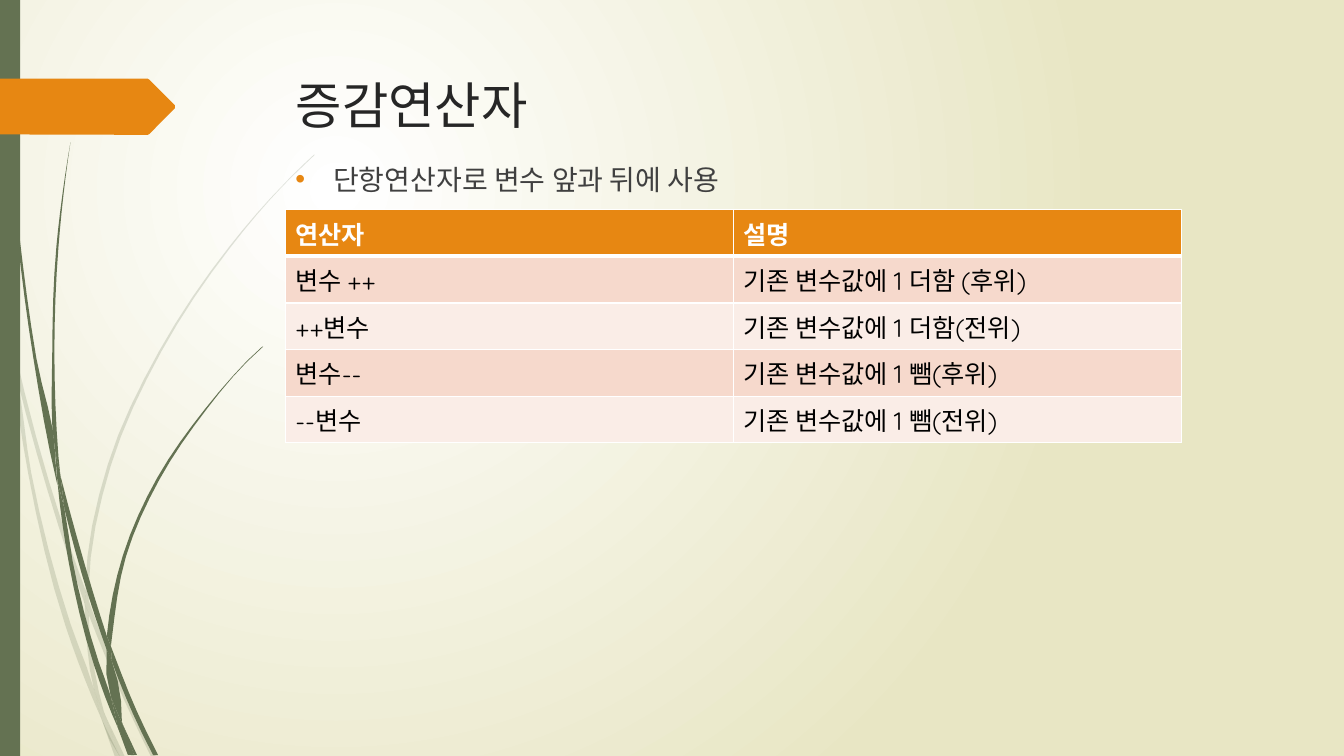
from lxml import etree
from pptx import Presentation
from pptx.dml.color import RGBColor
from pptx.enum import shapes, text
from pptx.oxml import ns
from pptx.util import Pt

HUES = {
    "white": "FFFFFF", "sand": "E8E6C4", "moss": "647252", "amber": "E78712",
    "title": "262626", "body": "404040", "black": "000000",
    "dark": "F6D9CC", "light": "FAEDE7",
}
SANS, ROUND = "Noto Sans CJK KR", "Quicksand"

PALE = [
    ([7.9+252j, 6.5+231.8j, 203j], [215.3j, 7.2+247.7j]),
    ([12.2+270.7j, 41.8+375.8j, 60.5+431.3j], [61.2+421.9j, 44.6+374.4j, 10.1+248.4j]),
    ([63.4+439.2j, 88.6+499.7j, 108+540.7j],
     [111.6+540.7j, 91.4+498.2j, 66.2+437j, 63.4+429.1j]),
    ([75.6+511.9j, 85.7+540.7j], [89.3+540.7j, 75.6+511.9j]),
    ([7.9+252j, 20.2+338.4j, 46.8+447.1j, 66.2+499j, 72.7+514.1j],
     [71.3+509j, 67+491.8j, 50.4+445.7j, 22.3+337.7j, 12.2+270.7j, 7.9+252j]),
    ([60.5+431.3j, 62.6+465.1j, 67+491.8j, 69.1+498.2j, 75.6+511.9j],
     [74.2+508.3j, 65.5+465.1j, 63.4+439.2j, 63.4+437.8j]),
    ([224.6+110.2j, 208.1+126j, 193+141.8j, 164.2+175.7j, 113.8+250.6j, 77+331.9j,
      61.2+420.5j, 61.2+421.9j],
     [63.4+429.1j, 63.4+420.5j, 79.2+332.6j, 115.2+251.3j, 164.9+176.4j, 193+142.6j,
      208.8+126j, 224.6+110.9j]),
    ([72.7+514.1j, 82.1+540.7j], [85.7+540.7j, 72.7+514.1j]),
    ([61.2+421.9j, 60.5+431.3j], [63.4+437.8j, 63.4+429.1j]),
    ([67+491.8j, 71.3+509j, 72.7+514.1j, 85.7+540.7j], [75.6+511.9j, 69.1+498.2j, 67+491.8j]),
]
DEEP = [
    ([2.2+0j, 2.9+34.6j, 5+79.2j, 12.2+167.8j, 23.8+255.6j, 40.3+343.4j, 41+346.3j],
     [39.6+329j, 39.6+326.2j, 25.9+255.6j, 13.7+167j, 5.8+78.5j, 3.6+34.6j, 2.9+0j]),
    ([46.1+363.6j, 63.4+426.2j, 76.3+464.4j], [76.3+454.3j, 67+424.8j, 43.2+339.8j]),
    ([79.9+472.3j, 95+509.8j, 109.4+539.3j],
     [113+539.3j, 97.9+508.3j, 81.4+467.3j, 79.2+461.5j]),
    ([41+343.4j, 49+401j, 67+474.5j, 79.9+509.8j, 84.2+519.8j],
     [83.5+516.2j, 79.2+497.5j, 70.6+473j, 51.8+400.3j, 46.1+363.6j, 41+343.4j]),
    ([50.4+101.5j, 44.6+139j, 40.3+176.4j, 37.4+251.3j, 39.6+323.3j, 43.2+339.8j],
     [41.8+326.2j, 38.9+251.3j, 41.8+176.4j, 45.4+139j, 50.4+101.5j]),
    ([87.8+517.7j, 95.8+539.3j], [97.9+539.3j, 87.8+517.7j]),
    ([39.6+323.3j, 39.6+326.2j, 41+343.4j, 46.1+363.6j], [43.2+339.8j, 39.6+323.3j]),
    ([187.2+247.7j, 176.4+257.8j, 166.3+268.6j, 146.9+291.6j, 112.3+341.3j, 87.8+396.7j,
      76.3+454.3j],
     [79.2+461.5j, 79.9+455.8j, 90+397.4j, 113.8+342.7j, 147.6+292.3j, 166.3+269.3j,
      176.4+258.5j, 187.9+247.7j]),
    ([84.2+519.8j, 91.4+539.3j], [94.3+539.3j, 84.2+519.8j]),
    ([76.3+464.4j, 79.2+497.5j, 83.5+508.3j, 87.8+517.7j],
     [87.1+515.5j, 79.9+472.3j, 78.5+468.7j, 76.3+464.4j]),
    ([76.3+454.3j, 76.3+464.4j], [79.9+472.3j, 79.2+461.5j, 76.3+454.3j]),
    ([79.2+497.5j, 83.5+516.2j, 84.2+519.8j, 93.6+539.3j],
     [95.8+539.3j, 87.8+517.7j, 83.5+508.3j, 79.2+497.5j]),
]
TAG = [56.2j, 105.5+56.2j, 106.6+56.8j, 125+75.2j, 125+77.2j, 106.6+95.8j, 105.5+96.3j, 96j]
ROWS = [
    ("연산자", "설명"),
    ("변수 ++", "기존 변수값에 1 더함 (후위)"),
    ("++변수", "기존 변수값에 1 더함(전위)"),
    ("변수--", "기존 변수값에 1 뺌(후위)"),
    ("--변수", "기존 변수값에 1 뺌(전위)"),
]


def rgb(hue):
    """Return the named colour."""
    return RGBColor.from_string(HUES[hue])


def sub(node, tag, **attrs):
    """Append a drawing element to a node."""
    return etree.SubElement(node, ns.qn("a:" + tag), attrs)


def paint(shape, hue, alpha=None):
    """Give a shape a flat fill without line or shadow."""
    shape.shadow.inherit = False
    shape.fill.solid()
    shape.fill.fore_color.rgb = rgb(hue)
    shape.line.fill.background()
    if alpha:
        tone = shape._element.spPr.find(".//" + ns.qn("a:srgbClr"))
        sub(tone, "alpha", val=str(alpha * 1000))


def write(para, words, size, hue, face, bold=False):
    """Add one formatted run to a paragraph."""
    run = para.add_run()
    run.text = words
    font = run.font
    font.size, font.bold, font.name = Pt(size), bold, face
    font.color.rgb = rgb(hue)
    sub(run._r.get_or_add_rPr(), "ea", typeface=SANS)


def curve(knots):
    """Return points on a smooth curve through the knots."""
    gaps = [abs(b - a) for a, b in zip(knots, knots[1:])]
    ways = [(b - a) / gap for a, b, gap in zip(knots, knots[1:], gaps)]
    mid = [(ways[i] * gaps[i + 1] + ways[i + 1] * gaps[i]) / (gaps[i] + gaps[i + 1])
           for i in range(len(gaps) - 1)]
    ends = mid or ways
    turns = [2 * ways[0] - ends[0], *mid, 2 * ways[-1] - ends[-1]]
    dots = []
    for i, gap in enumerate(gaps):
        steps = min(4, max(1, round(gap / 15)))
        for t in (step / steps for step in range(steps)):
            ease = t * t * (3 - 2 * t)
            bend = t * (1 - t) * ((1 - t) * turns[i] - t * turns[i + 1])
            dots.append(knots[i] + ease * (knots[i + 1] - knots[i]) + gap * bend)
    return dots + [knots[-1]]


def outline(parent, dots, hue, alpha=None):
    """Draw a closed outline through the points."""
    dots = [(Pt(dot.real), Pt(dot.imag)) for dot in dots]
    form = parent.shapes.build_freeform(*dots[0])
    form.add_line_segments(dots[1:])
    paint(form.convert_to_shape(), hue, alpha)


def backdrop(slide, high):
    """Draw the gradient, grass blades, side bar and arrow tag."""
    fill = slide.background.fill
    fill.gradient()
    for stop, hue in zip(fill.gradient_stops, ("white", "sand")):
        stop.color.rgb = rgb(hue)
    grad = slide._element.find(".//" + ns.qn("a:gradFill"))
    grad.remove(grad.find(ns.qn("a:lin")))
    sub(sub(grad, "path", path="circle"), "fillToRect",
        l="50000", t="50000", r="100000", b="100000")
    for blades, alpha in ((PALE, 20), (DEEP, None)):
        group = slide.shapes.add_group_shape()
        for left, right in blades:
            outline(group, curve(left) + curve(right), "moss", alpha)
    bar = slide.shapes.add_shape(shapes.MSO_SHAPE.RECTANGLE, 0, 0, Pt(14.4), Pt(high))
    paint(bar, "moss")
    outline(slide, TAG, "amber")


def heading(slide, left, top, wide, high):
    """Place the slide title."""
    title = slide.shapes.title
    title.left, title.top, title.width, title.height = map(Pt, (left, top, wide, high))
    frame = title.text_frame
    frame.word_wrap = True
    frame.auto_size = text.MSO_AUTO_SIZE.NONE
    frame.vertical_anchor = text.MSO_ANCHOR.TOP
    para = frame.paragraphs[0]
    para.alignment = text.PP_ALIGN.LEFT
    write(para, "증감연산자", 36, "title", SANS)


def bullet(slide, left, top, wide, high):
    """Place the bulleted statement."""
    frame = slide.shapes.add_textbox(*map(Pt, (left, top, wide, high))).text_frame
    frame.word_wrap = True
    para = frame.paragraphs[0]
    props = para._p.get_or_add_pPr()
    props.set("marL", str(Pt(27)))
    props.set("indent", str(Pt(-27)))
    sub(sub(props, "buClr"), "srgbClr", val=HUES["amber"])
    sub(props, "buFont", typeface="Arial")
    sub(props, "buChar", char="•")
    write(para, "단항연산자로 변수 앞과 뒤에 사용", 20, "body", SANS)


def border(cell, head):
    """Line a cell in white, thicker below the header."""
    props = cell._tc.get_or_add_tcPr()
    for side in "LRTB":
        line = sub(props, "ln" + side, w=str(Pt(3 if head and side == "B" else 1)))
        sub(sub(line, "solidFill"), "srgbClr", val=HUES["white"])


def grid(slide, left, top, wide, high):
    """Place the operator table."""
    box = map(Pt, (left, top, wide, high))
    table = slide.shapes.add_table(len(ROWS), len(ROWS[0]), *box).table
    for i, row in enumerate(ROWS):
        head = i == 0
        for j, words in enumerate(row):
            cell = table.cell(i, j)
            border(cell, head)
            cell.fill.solid()
            cell.fill.fore_color.rgb = rgb("amber" if head else "dark" if i % 2 else "light")
            write(cell.text_frame.paragraphs[0], words, 18,
                  "white" if head else "black", ROUND, head)


def main():
    """Build and save the slide."""
    deck = Presentation()
    deck.slide_width, deck.slide_height = Pt(960), Pt(540)
    slide = deck.slides.add_slide(deck.slide_layouts[5])
    backdrop(slide, 540)
    heading(slide, 204, 49, 702, 100.8)
    bullet(slide, 203.8, 112.3, 702, 353.5)
    grid(slide, 203.8, 149.8, 640, 166.5)
    deck.save("out.pptx")


if __name__ == "__main__":
    main()
